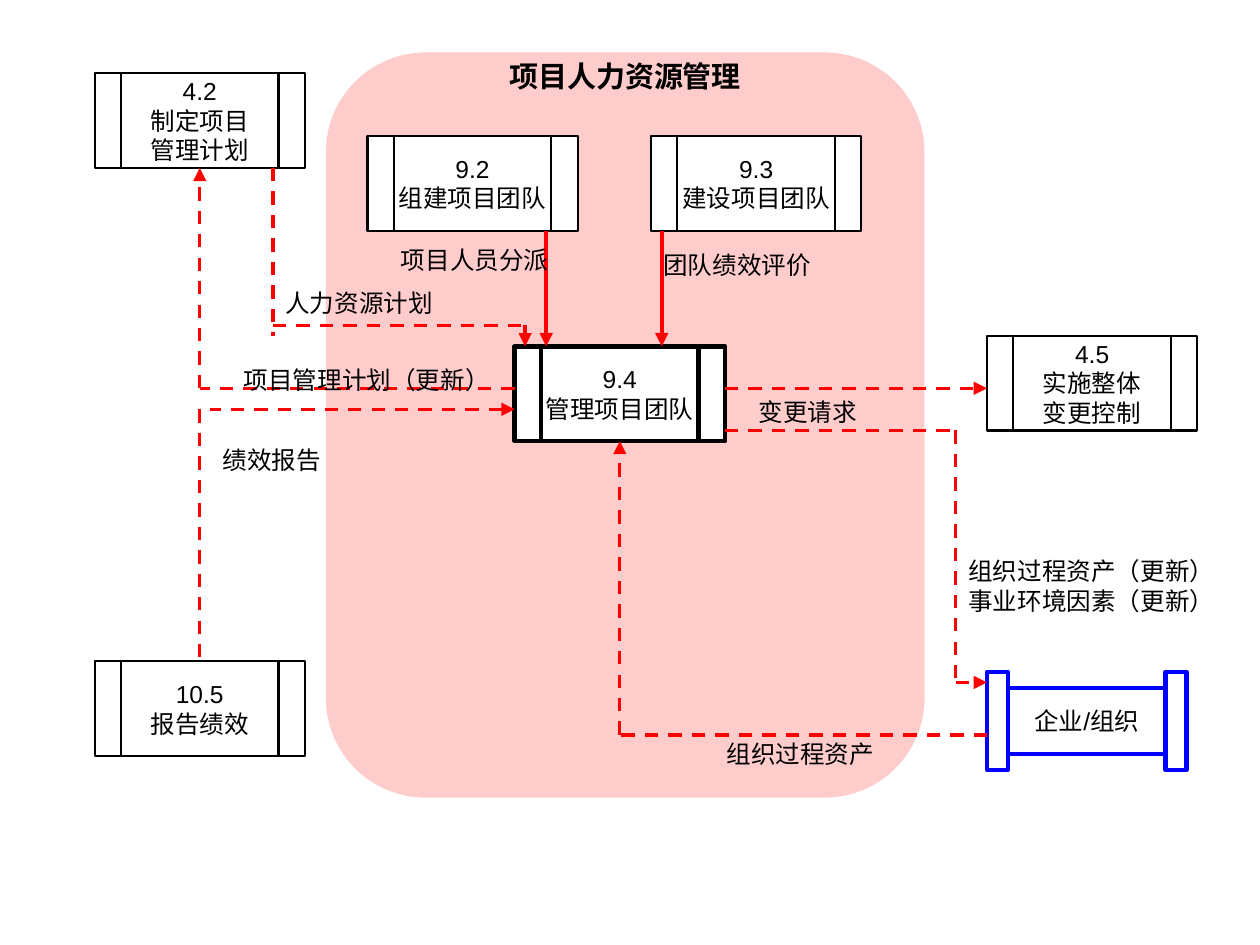
from itertools import pairwise

from lxml.etree import SubElement
from pptx import Presentation
from pptx.dml.color import RGBColor
from pptx.enum.dml import MSO_LINE
from pptx.enum.shapes import MSO_CONNECTOR, MSO_SHAPE
from pptx.enum.text import MSO_ANCHOR, MSO_AUTO_SIZE, PP_ALIGN
from pptx.oxml.ns import qn
from pptx.util import Pt

BLACK = RGBColor(0x00, 0x00, 0x00)
WHITE = RGBColor(0xFF, 0xFF, 0xFF)
RED = RGBColor(0xFF, 0x00, 0x00)
BLUE = RGBColor(0x00, 0x00, 0xFF)
PINK = RGBColor(0xFF, 0xCC, 0xCC)
TOP, BOTTOM = 0, 2
WIDE, HIGH = 94.2, 42.4  # size of a process box


def write(frame, text, size=11, bold=False, align=PP_ALIGN.LEFT,
          anchor=MSO_ANCHOR.TOP, wrap=True, pitch=None, gap=0):
    frame.word_wrap = wrap
    frame.vertical_anchor = anchor
    frame.margin_left = frame.margin_right = Pt(5.6)
    frame.margin_top = frame.margin_bottom = Pt(2.9)
    for i, line in enumerate(text.split("\n")):
        para = frame.add_paragraph() if i else frame.paragraphs[0]
        para.alignment = align
        if pitch:
            para.line_spacing = pitch
        if i and gap:
            para.space_before = Pt(gap)
        run = para.add_run()
        run.text = line
        font = run.font
        font.name, font.size, font.bold = "Arial", Pt(size), bold
        font.color.rgb = BLACK


class Chart:
    def __init__(self, slide):
        self.slide = slide

    def block(self, kind, x, y, w, h, text="", fill=WHITE, edge=None,
              width=1, home=None):
        shapes = (home or self.slide).shapes
        shape = shapes.add_shape(kind, Pt(x), Pt(y), Pt(w), Pt(h))
        shape.shadow.inherit = False
        shape.fill.solid()
        shape.fill.fore_color.rgb = fill
        if edge is None:
            shape.line.fill.background()
        else:
            shape.line.color.rgb = edge
            shape.line.width = Pt(width)
        if text:
            write(shape.text_frame, text, align=PP_ALIGN.CENTER,
                  anchor=MSO_ANCHOR.MIDDLE, wrap=False)
        return shape

    def step(self, x, y, text, width=1):
        return self.block(MSO_SHAPE.FLOWCHART_PREDEFINED_PROCESS, x, y,
                          WIDE, HIGH, text, edge=BLACK, width=width)

    def label(self, x, y, w, text, h=12.2, **style):
        box = self.slide.shapes.add_textbox(Pt(x), Pt(y), Pt(w), Pt(h))
        write(box.text_frame, text, **style)
        box.text_frame.auto_size = MSO_AUTO_SIZE.SHAPE_TO_FIT_TEXT

    def wire(self, start, stop, tip=None, width=1.5, dash=True):
        line = self.slide.shapes.add_connector(
            MSO_CONNECTOR.STRAIGHT, *(Pt(v) for v in (*start, *stop)))
        line.line.color.rgb = RED
        line.line.width = Pt(width)
        if dash:
            line.line.dash_style = MSO_LINE.DASH
        props = line._element.spPr
        if tip:
            SubElement(props.find(qn("a:ln")), qn(tip), type="triangle")
        SubElement(props, qn("a:effectLst"))
        return line

    def route(self, *points, tip="a:tailEnd"):
        pairs = list(pairwise(points))
        for start, stop in pairs[:-1]:
            self.wire(start, stop)
        return self.wire(*pairs[-1], tip=tip)


def main():
    deck = Presentation()
    deck.slide_width, deck.slide_height = Pt(564.5), Pt(423.4)
    flow = Chart(deck.slides.add_slide(deck.slide_layouts[6]))

    # Knowledge area
    flow.block(MSO_SHAPE.ROUNDED_RECTANGLE, 146, 23.5, 268.2, 333.9, fill=PINK)
    flow.label(216.7, 23.5, 126.7, "项目人力资源管理", h=21.6, size=13,
               bold=True, align=PP_ALIGN.CENTER)

    # Processes
    plan = flow.step(42.4, 32.8, "4.2\n制定项目\n管理计划")
    flow.step(164.6, 61, "9.2\n组建项目团队")
    flow.step(291.7, 61, "9.3\n建设项目团队")
    team = flow.step(230.6, 155.2, "9.4\n管理项目团队", width=2)
    flow.step(442.2, 150.5, "4.5\n实施整体\n变更控制")
    report = flow.step(42.4, 296.3, "10.5\n报告绩效")

    # Organisation
    group = flow.slide.shapes.add_group_shape()
    flow.block(MSO_SHAPE.RECTANGLE, 451.6, 308.2, 70.6, 29.6, "企业/组织",
               edge=BLUE, width=2, home=group)
    for x in (442.2, 522.2):
        flow.block(MSO_SHAPE.RECTANGLE, x, 301, 9.4, 44, edge=BLUE, width=2,
                   home=group)

    # Inputs to team management
    for x in (244.7, 296.5):
        flow.wire((x, 103.4), (x, 155.2), "a:tailEnd", width=2, dash=False)
    flow.wire((122.3, 75.2), (122.3, 150.5))
    flow.route((122.3, 145.8), (235.3, 145.8), (235.3, 155.2))
    flow.wire((89.5, 183.4), (89.5, 296.3)).end_connect(report, TOP)
    flow.wire((230.6, 183.4), (94.2, 183.4), "a:headEnd")
    asset = flow.route((442.2, 329.3), (277.7, 329.3), (277.7, 197.6))
    asset.end_connect(team, BOTTOM)

    # Outputs of team management
    update = flow.route((230.6, 174), (89.5, 174), (89.5, 75.2))
    update.end_connect(plan, BOTTOM)
    flow.wire((324.8, 174), (442.2, 174), "a:tailEnd")
    flow.route((324.8, 192.8), (428.2, 192.8), (428.2, 305.8), (442.2, 305.8))

    # Flow labels
    for x, y, w, text in (
        (94.2, 202.2, 85, "绩效报告"),
        (334.2, 180.8, 122.4, "变更请求"),
        (122.3, 131.8, 136.8, "人力资源计划"),
        (291.6, 114.7, 85, "团队绩效评价"),
        (174, 112.7, 85, "项目人员分派"),
        (103.6, 166.3, 136, "项目管理计划（更新）"),
        (319.9, 334, 122.4, "组织过程资产"),
        (428.2, 252, 122.4, "组织过程资产（更新）\n事业环境因素（更新）"),
    ):
        flow.label(x, y, w, text, pitch=0.5, gap=6.9)

    deck.save("out.pptx")


if __name__ == "__main__":
    main()
